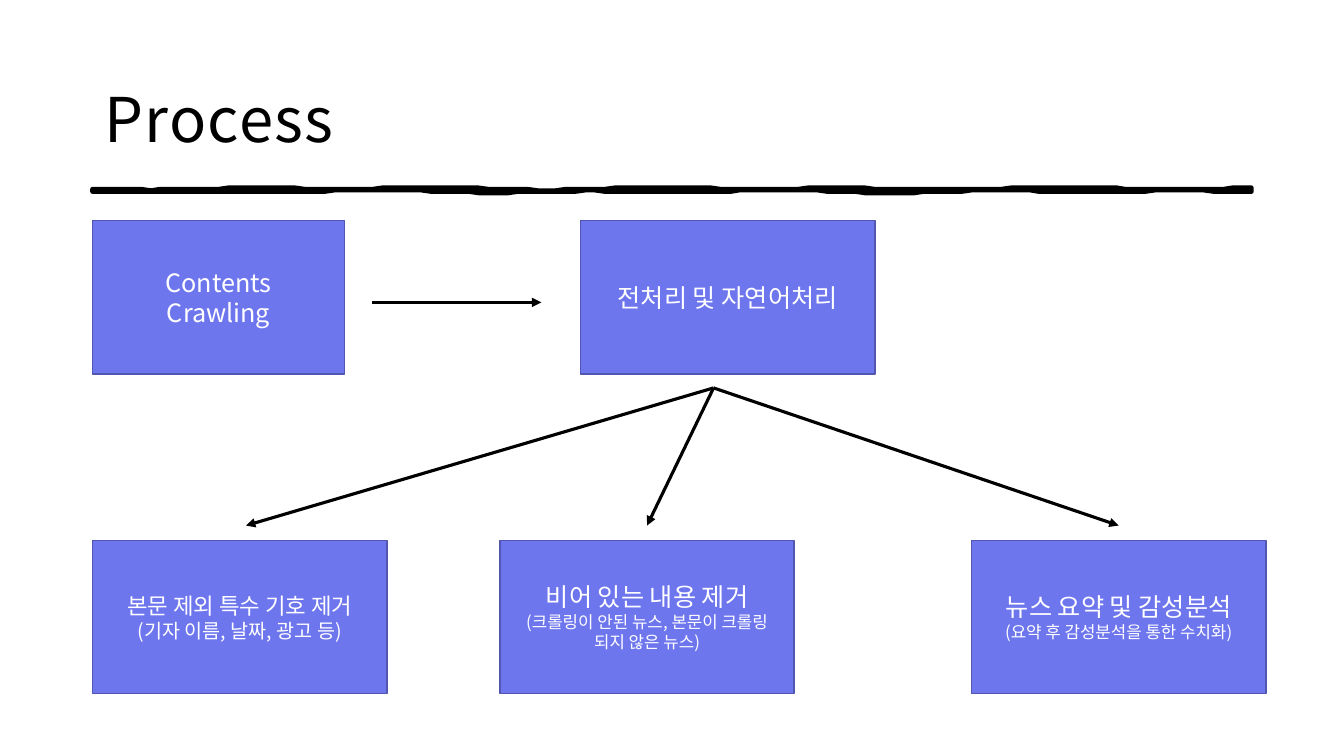
import math
from dataclasses import dataclass

import pptx
import pptx.util
import pptx.dml.color
import pptx.enum.shapes
import pptx.enum.text
import pptx.oxml.ns
import lxml.etree

Pt = pptx.util.Pt
qn = pptx.oxml.ns.qn
RGB = pptx.dml.color.RGBColor
Kind = pptx.enum.shapes
Text = pptx.enum.text


@dataclass(frozen=True)
class Theme:
    font: str = "Noto Sans CJK KR"
    ink: RGB = RGB(0, 0, 0)
    box: RGB = RGB(0x6E, 0x76, 0xEE)
    edge: RGB = RGB(0x51, 0x57, 0xB0)
    white: RGB = RGB(255, 255, 255)
    title: int = 44
    large: int = 18
    mid: int = 16
    note: int = 14
    small: int = 12


THEME = Theme()
LEFT, WIDE = 66.2, 828


def add_run(para, text, size, color):
    run = para.add_run()
    run.text = text
    run.font.size = Pt(size)
    run.font.name = THEME.font
    run.font.color.rgb = color
    props = run.font._element
    lxml.etree.SubElement(props, qn("a:ea")).set("typeface", THEME.font)
    return run


# Heading text
def add_title(slide, left, top, width, height):
    shape = slide.shapes.add_textbox(Pt(left), Pt(top), Pt(width), Pt(height))
    frame = shape.text_frame
    frame.word_wrap = True
    frame.vertical_anchor = Text.MSO_ANCHOR.MIDDLE
    frame.margin_left = frame.margin_right = frame.margin_top = Pt(8.64)
    frame.margin_bottom = Pt(7.2)
    para = frame.paragraphs[0]
    para.line_spacing = 1.1
    run = add_run(para, "Process", THEME.title, THEME.ink)
    run.font._element.set("spc", "90")


# Hand-drawn rule: a thin band with gently waving edges
def add_rule(slide, left, top, width, thick):
    def wave(x, phase):
        return 0.6 * math.sin(x / 23 + phase) + 0.4 * math.sin(x / 41)

    steps = [width * i / 120 for i in range(121)]
    upper = [(left + x, top + wave(x, 0)) for x in steps]
    lower = [(left + x, top + thick + wave(x, 2)) for x in reversed(steps)]
    pen = slide.shapes.build_freeform(*upper[0], scale=Pt(1))
    pen.add_line_segments(upper[1:] + lower, close=True)
    band = pen.convert_to_shape()
    band.shadow.inherit = False
    band.fill.solid()
    band.fill.fore_color.rgb = THEME.ink
    band.line.color.rgb = THEME.ink
    band.line.width = Pt(3)


# One step of the process, with a list of (text, size) lines
def add_box(slide, left, top, width, height, lines):
    box = slide.shapes.add_shape(Kind.MSO_SHAPE.RECTANGLE,
                                 Pt(left), Pt(top), Pt(width), Pt(height))
    box.shadow.inherit = False
    box.fill.solid()
    box.fill.fore_color.rgb = THEME.box
    box.line.color.rgb = THEME.edge
    box.line.width = Pt(1)
    frame = box.text_frame
    frame.word_wrap = True
    frame.vertical_anchor = Text.MSO_ANCHOR.MIDDLE
    for i, (text, size) in enumerate(lines):
        para = frame.add_paragraph() if i else frame.paragraphs[0]
        para.alignment = Text.PP_ALIGN.CENTER
        add_run(para, text, size, THEME.white)


def add_arrow(slide, start, end):
    arrow = slide.shapes.add_connector(Kind.MSO_CONNECTOR.STRAIGHT,
                                       *map(Pt, start + end))
    arrow.line.color.rgb = THEME.ink
    arrow.line.width = Pt(2.25)
    line = arrow.line._ln
    lxml.etree.SubElement(line, qn("a:tailEnd")).set("type", "triangle")
    lxml.etree.SubElement(line.getparent(), qn("a:effectLst"))


# Two steps on top, three results below, arrows between them
def add_flow(slide, left, top):
    high, wide, slim = 109.4, 210.2, 180
    mid = left + 348.5
    low = top + 228.2
    add_box(slide, left, top, slim, high,
            [("Contents", THEME.large), ("Crawling", THEME.large)])
    add_box(slide, mid, top, wide, high,
            [("전처리 및 자연어처리", THEME.large)])
    add_arrow(slide, (left + slim + 19.5, top + 58.3),
              (mid - 28, top + 58.3))

    # Offset, lines and arrow tip of each result
    parts = [
        (0, 109.5, [("본문 제외 특수 기호 제거", THEME.mid),
                    ("(기자 이름, 날짜, 광고 등)", THEME.note)]),
        (290.9, 105.1, [("비어 있는 내용 제거", THEME.large),
                        ("(크롤링이 안된 뉴스, 본문이 크롤링 되지 않은 뉴스)",
                         THEME.small)]),
        (627.8, 105.1, [("뉴스 요약 및 감성분석", THEME.large),
                        ("(요약 후 감성분석을 통한 수치화)", THEME.small)]),
    ]
    hub = (mid + 95, top + high + 10)
    for shift, tip, lines in parts:
        add_box(slide, left + shift, low, wide, high, lines)
        add_arrow(slide, hub, (left + shift + tip, low - 10.5))


def main():
    deck = pptx.Presentation()
    deck.slide_width, deck.slide_height = Pt(960), Pt(540)
    slide = deck.slides.add_slide(deck.slide_layouts[6])
    add_rule(slide, LEFT, 134.6, WIDE, 2.2)
    add_title(slide, LEFT, 28.8, WIDE, 104.4)
    add_flow(slide, LEFT, 157.7)
    deck.save("out.pptx")


if __name__ == "__main__":
    main()
